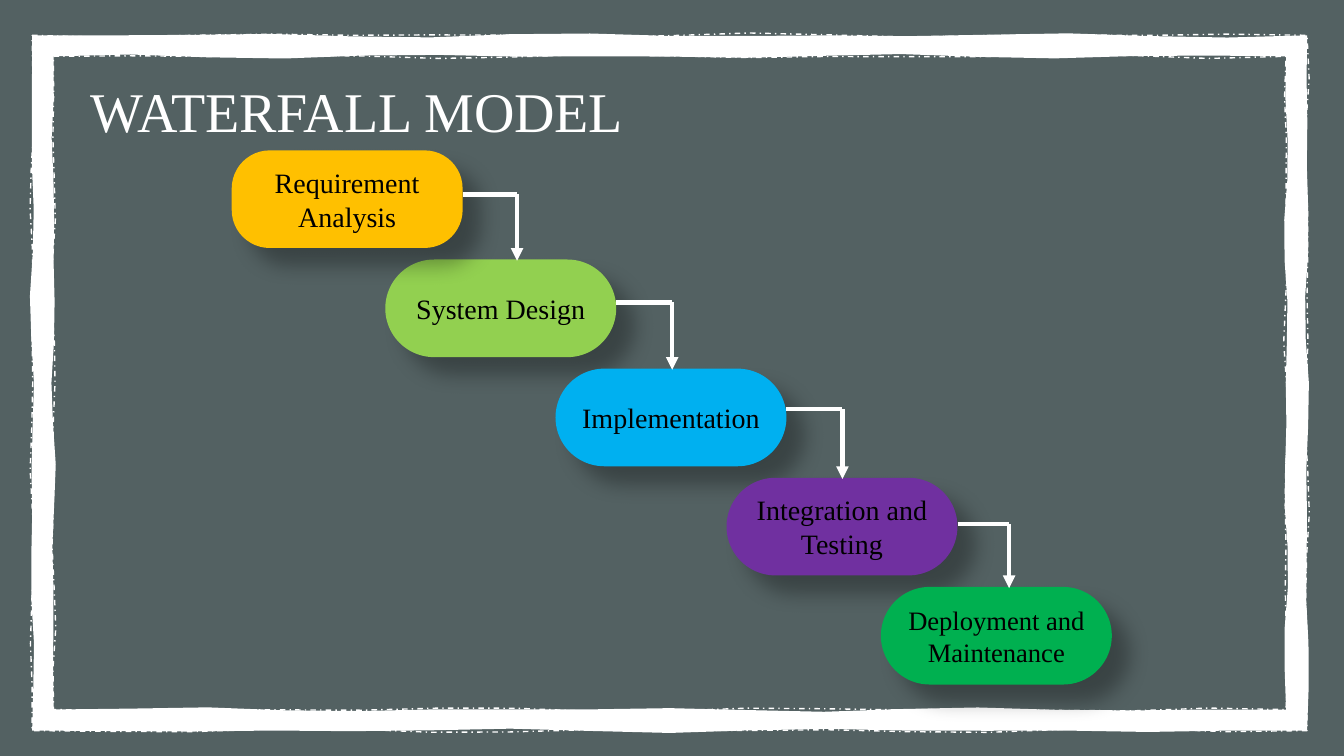
from math import sin

from lxml import etree
from pptx import Presentation
from pptx.dml.color import RGBColor
from pptx.enum.dml import MSO_LINE
from pptx.enum.shapes import MSO_CONNECTOR, MSO_SHAPE
from pptx.enum.text import MSO_ANCHOR, PP_ALIGN
from pptx.oxml.ns import qn
from pptx.util import Cm, Pt

ROUNDED = MSO_SHAPE.ROUNDED_RECTANGLE
STRAIGHT = MSO_CONNECTOR.STRAIGHT
DASH_DOT = MSO_LINE.DASH_DOT
MIDDLE = MSO_ANCHOR.MIDDLE
CENTER, LEFT = PP_ALIGN.CENTER, PP_ALIGN.LEFT

# Content
TITLE = "WATERFALL MODEL"
STAGES = [  # text, fill, left in cm, corner rounding, text size
    ("Requirement Analysis", "FFC000", 5.84, 0.39, 20),
    ("System Design", "92D050", 9.71, 0.5, 20),
    ("Implementation", "00B0F0", 14, 0.5, 20),
    ("Integration and Testing", "7030A0", 18.31, 0.5, 20),
    ("Deployment and Maintenance", "00B050", 22.2, 0.5, 19),
]
ARROWS = [(13.03, 4.9), (16.94, 7.62), (21.23, 10.31), (25.43, 13.21)]  # corner x, y

# Layout in cm
SLIDE_WIDTH, SLIDE_HEIGHT = 33.87, 19.05
STAGE_WIDTH, STAGE_HEIGHT = 5.82, 2.46
FIRST_TOP, STEP_DOWN = 3.79, 2.75
TITLE_BOX = (2.03, 1.8, 15.6, 1.96)
FRAME_OUTER = (0.81, 0.89, 32.94, 18.41)
FRAME_INNER = (1.35, 1.42, 32.41, 17.88)
WAVE_HEIGHT, WAVE_POINTS = 0.03, 16

# Style
FONT = "Times New Roman"
BACKGROUND, WHITE, BLACK = "536162", "FFFFFF", "000000"
SHADOW = {"blurRad": Pt(15), "dist": Pt(18), "dir": 45 * 60000,
          "algn": "ctr", "rotWithShape": 0}
SHADOW_OPACITY = 30


def color(hex_value):
    return RGBColor.from_string(hex_value)


def paint(fill, hex_value):
    fill.solid()
    fill.fore_color.rgb = color(hex_value)


def write(text_frame, text, size, hex_value, alignment):
    text_frame.word_wrap = True
    paragraph = text_frame.paragraphs[0]
    paragraph.alignment = alignment
    run = paragraph.add_run()
    run.text = text
    for name, value in {"name": FONT, "size": Pt(size)}.items():
        setattr(run.font, name, value)
    run.font.color.rgb = color(hex_value)


def wavy_outline(box, phase):
    """Points around a box whose sides waver like a brush stroke."""
    left, top, right, bottom = box
    corners = [(left, top), (right, top), (right, bottom), (left, bottom)]
    points = []
    for side, (x1, y1) in enumerate(corners):
        x2, y2 = corners[(side + 1) % 4]
        for index in range(WAVE_POINTS):
            part = index / WAVE_POINTS
            wave = 0
            if index:
                wave = WAVE_HEIGHT * (sin(1.2 * index + phase + side)
                                      + sin(1.9 * index + 2 * phase))
            x, y = x1 + (x2 - x1) * part, y1 + (y2 - y1) * part
            if y1 == y2:
                y += wave
            else:
                x += wave
            points.append((Cm(x), Cm(y)))
    return points


def add_frame(shapes, phase):
    outer = wavy_outline(FRAME_OUTER, phase)
    inner = wavy_outline(FRAME_INNER, phase + 2)
    builder = shapes.build_freeform(*outer[0])
    builder.add_line_segments(outer[1:], close=True)
    builder.move_to(*inner[0])
    builder.add_line_segments(inner[1:], close=True)
    frame = builder.convert_to_shape()
    frame.shadow.inherit = False
    return frame


def add_shadow(shape):
    shape.shadow.inherit = False
    effects = shape._element.spPr.find(qn("a:effectLst"))
    outer = etree.SubElement(effects, qn("a:outerShdw"),
                             {name: str(value) for name, value in SHADOW.items()})
    tint = etree.SubElement(outer, qn("a:srgbClr"), val=BLACK)
    etree.SubElement(tint, qn("a:alpha"), val=str(SHADOW_OPACITY * 1000))


def add_stage(shapes, index):
    text, fill, left, rounding, size = STAGES[index]
    top = FIRST_TOP + index * STEP_DOWN
    shape = shapes.add_shape(ROUNDED, Cm(left), Cm(top), Cm(STAGE_WIDTH), Cm(STAGE_HEIGHT))
    shape.adjustments[0] = rounding
    paint(shape.fill, fill)
    shape.line.fill.background()
    add_shadow(shape)
    shape.text_frame.vertical_anchor = MIDDLE
    write(shape.text_frame, text, size, BLACK, CENTER)


def add_line(shapes, x1, y1, x2, y2, arrow=False):
    line = shapes.add_connector(STRAIGHT, Cm(x1), Cm(y1), Cm(x2), Cm(y2))
    line.line.width = Pt(3)
    paint(line.line.fill, WHITE)
    if arrow:
        outline = line._element.spPr.find(qn("a:ln"))
        etree.SubElement(outline, qn("a:tailEnd"), type="triangle")
    etree.SubElement(line._element.spPr, qn("a:effectLst"))


def main():
    presentation = Presentation()
    presentation.slide_width = Cm(SLIDE_WIDTH)
    presentation.slide_height = Cm(SLIDE_HEIGHT)
    slide = presentation.slides.add_slide(presentation.slide_layouts[6])
    paint(slide.background.fill, BACKGROUND)
    shapes = slide.shapes

    # Brushed frame: a dashed outline under a solid band
    outline = add_frame(shapes, 0)
    outline.fill.background()
    paint(outline.line.fill, WHITE)
    outline.line.width = Pt(1)
    outline.line.dash_style = DASH_DOT
    band = add_frame(shapes, 2.5)
    paint(band.fill, WHITE)
    band.line.fill.background()

    # Stages, the first one on top
    for index in (1, 2, 3, 4, 0):
        add_stage(shapes, index)

    # Bent arrows from each stage down to the next
    for index, (corner, y) in enumerate(ARROWS):
        start = STAGES[index][2] + STAGE_WIDTH
        next_top = FIRST_TOP + (index + 1) * STEP_DOWN
        add_line(shapes, start, y, corner, y)
        add_line(shapes, corner, y, corner, next_top + 0.03, arrow=True)

    # Title
    title = shapes.add_textbox(*[Cm(length) for length in TITLE_BOX])
    write(title.text_frame, TITLE, 40, WHITE, LEFT)

    presentation.save("out.pptx")


if __name__ == "__main__":
    main()
